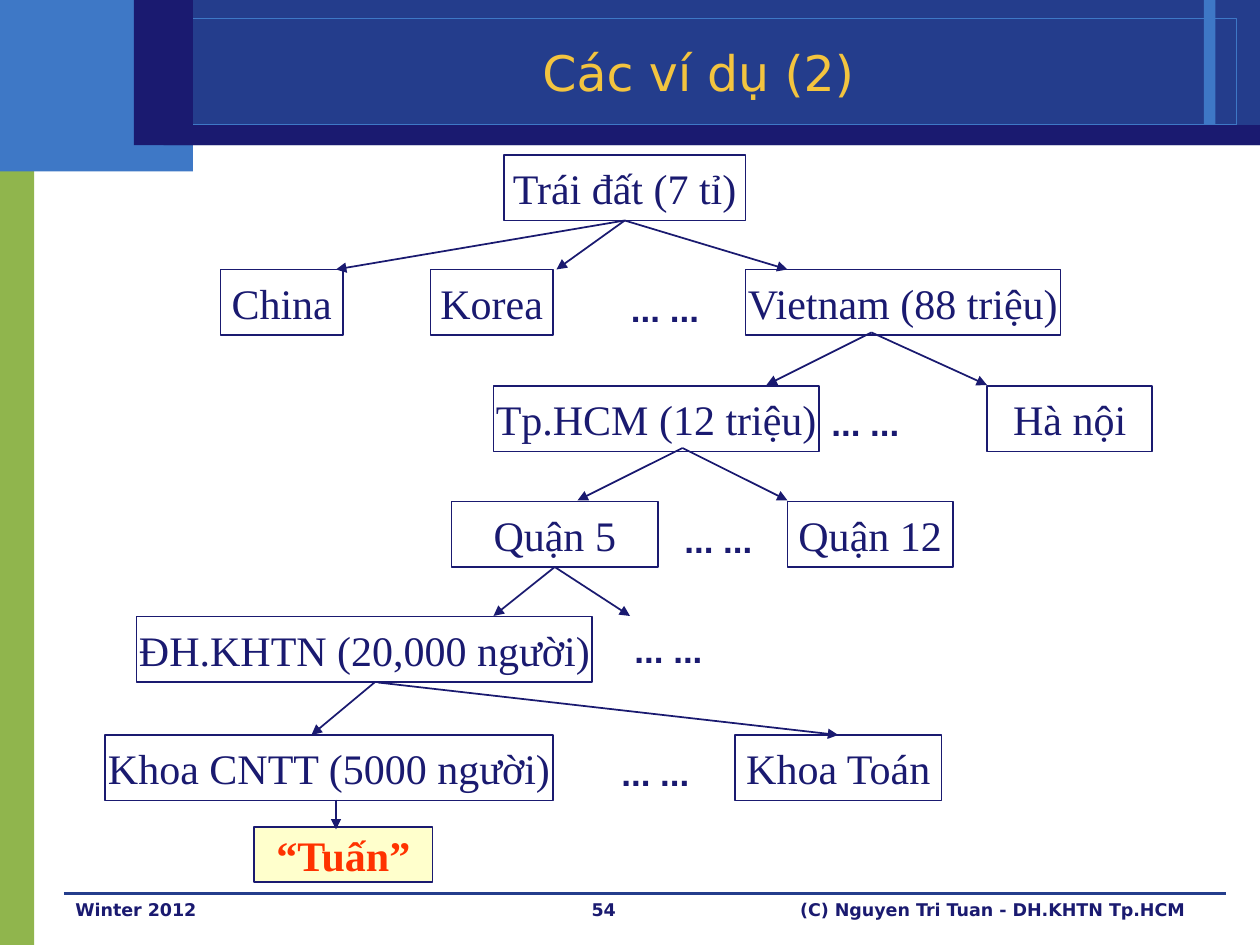
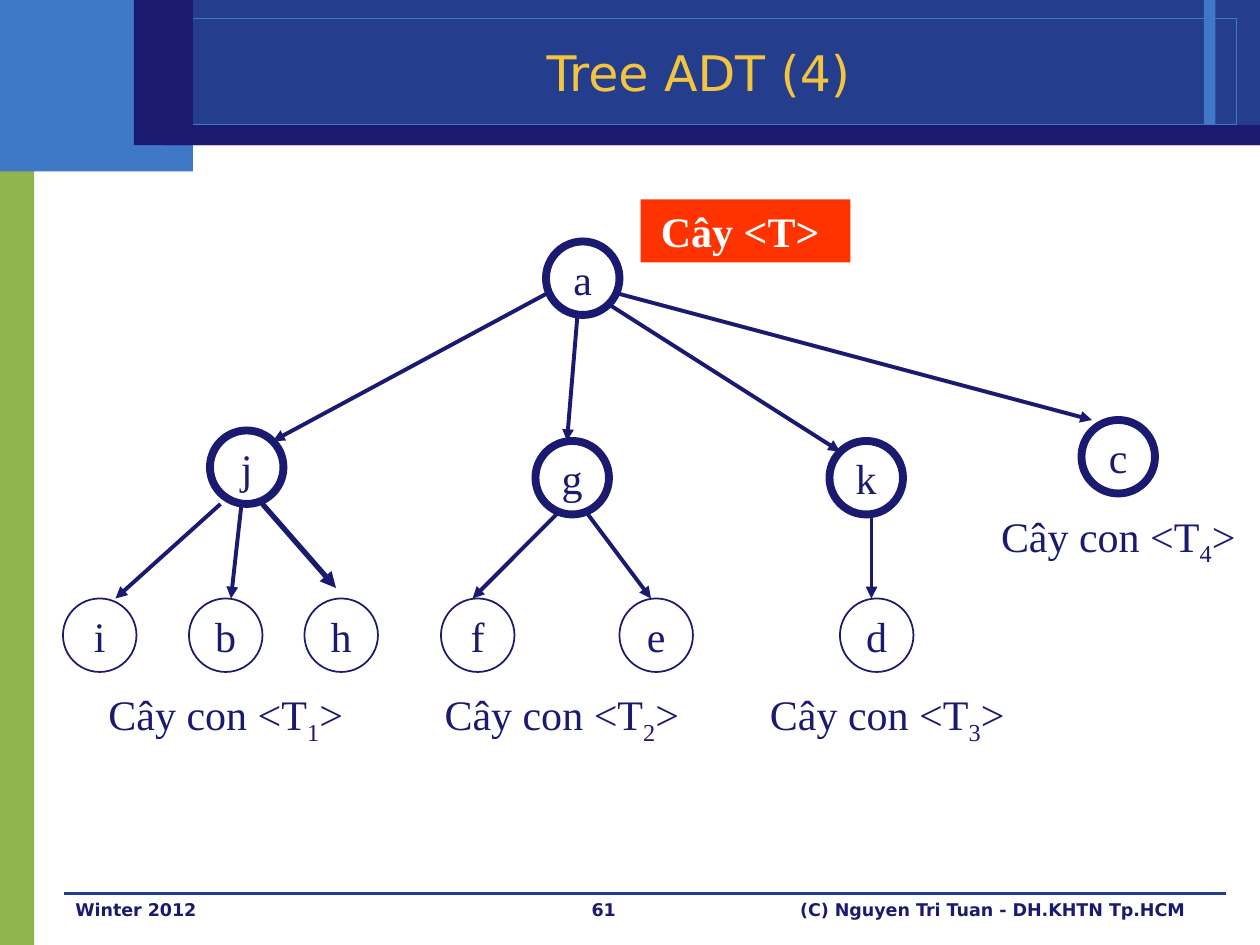
from lxml import etree
from pptx import Presentation
from pptx.dml.color import RGBColor
from pptx.enum.shapes import MSO_CONNECTOR as LINK, MSO_SHAPE as SHAPE
from pptx.enum.text import MSO_ANCHOR as ANCHOR, PP_ALIGN as ALIGN
from pptx.oxml.ns import qn
from pptx.util import Pt

COLORS = {
    "navy": "1A1A70", "royal": "243D8C", "sky": "3E78C6", "green": "90B54D",
    "gold": "F3C43F", "red": "FF3300", "cream": "FFFFCC", "white": "FFFFFF",
}
SANS, SERIF, ARIAL = "DejaVu Sans", "Times New Roman", "Arial"

BACK_BANDS = [
    ((0, 77, 19.5, 463), "green"),
    ((0, 0, 110.25, 98), "sky"),
    ((110.25, 0, 609.75, 83), "royal"),
    ((688, 0, 6.5, 72), "sky"),
]
TITLE_FRAME = (14.5, 10.5, 692, 61)
FRONT_BANDS = [
    ((93.5, 71.5, 626.5, 11.5), "navy"),
    ((76.5, 0, 33.75, 83), "navy"),
]
FOOTER_RULE = ((36.5, 510.5), (700.5, 510.5))
TITLE_AREA = (108, 18.5, 582, 45)
FOOTER_TOP, FOOTER_HEIGHT = 510, 30
TERM = "Winter 2012"
COPYRIGHT = "(C) Nguyen Tri Tuan - DH.KHTN Tp.HCM"

EXAMPLE_TITLE, EXAMPLE_NUMBER = "Các ví dụ (2)", "54"
BOX_HEIGHT = 37.5
PLACES = [
    (88.5, [("Trái đất (7 tỉ)", 288, 138)]),
    (154, [("China", 126, 70), ("Korea", 246, 70), ("Vietnam (88 triệu)", 426, 180)]),
    (220.5, [("Tp.HCM (12 triệu)", 282, 186), ("Hà nội", 564, 94.5)]),
    (286.5, [("Quận 5", 258, 118), ("Quận 12", 450, 94.5)]),
    (352.25, [("ĐH.KHTN (20,000 người)", 78, 260.5)]),
    (420, [("Khoa CNTT (5000 người)", 60, 256), ("Khoa Toán", 420, 118)]),
]
PERSON, PERSON_AREA = "“Tuấn”", (145.25, 472.5, 102, 31.5)
ELLIPSES = [(353.5, 160.5), (468, 226), (384, 292.5), (355.5, 355.5), (348, 426)]
PLACE_LINKS = [
    ("Trái đất (7 tỉ)", (192, 154)),
    ("Trái đất (7 tỉ)", (318, 154)),
    ("Trái đất (7 tỉ)", (450, 154)),
    ((498, 190), (438, 220)),
    ((498, 190), (564, 220)),
    ((390, 256), (330, 286)),
    ((390, 256), (450, 286)),
    ("Quận 5", (282, 352)),
    ("Quận 5", (360, 352)),
    ((214, 390), (178, 420)),
    ((216, 390), "Khoa Toán"),
    ((192, 457), (192, 474)),
]

TREE_TITLE, TREE_NUMBER = "Tree ADT (4)", "61"
NODE_SIZE, LEAF_TOP = 42, 342
INNER_NODES = {"a": (312, 138), "c": (618, 240), "k": (474, 252),
               "j": (120, 246), "g": (306, 252)}
LEAVES = {"i": 36, "b": 108, "h": 174, "f": 252, "e": 354, "d": 480}
BRANCHES = [
    ((312, 168), (156, 252), 2.25),
    ((330, 180), (324, 252), 2.25),
    ((348, 174), (480, 258), 2.25),
    ((354, 168), (624, 240), 2.25),
    ((126, 288), (66, 342), 2.25),
    ((138, 288), (132, 342), 2.25),
    ((150, 288), (192, 336), 3),
    ((318, 294), (270, 342), 2.25),
    ((336, 294), (372, 342), 2.25),
    ((498, 294), (498, 342), 2.25),
]
SUBTREES = [
    ("1", (30, 390, 204, 48)),
    ("2", (222, 390, 204, 48)),
    ("3", (408, 390, 204, 48)),
    ("4", (564, 288, 156, 48)),
]
TREE_LABEL, TREE_LABEL_AREA = "Cây <T> ", (366, 114, 120, 36)


def color(name):
    return RGBColor.from_string(COLORS[name])


def pts(values):
    return [Pt(value) for value in values]


def add_box(slide, area, fill=None, line=None, width=1, kind=SHAPE.RECTANGLE):
    box = slide.shapes.add_shape(kind, *pts(area))
    box.shadow.inherit = False
    if fill:
        box.fill.solid()
        box.fill.fore_color.rgb = color(fill)
    else:
        box.fill.background()
    if line:
        box.line.color.rgb = color(line)
        box.line.width = Pt(width)
    else:
        box.line.fill.background()
    return box


def write(holder, parts, size=24, font=SERIF, ink="navy", bold=False,
          align=ALIGN.CENTER, anchor=ANCHOR.MIDDLE, wrap=False):
    frame = holder.text_frame
    frame.word_wrap = wrap
    frame.vertical_anchor = anchor
    paragraph = frame.paragraphs[0]
    paragraph.alignment = align
    for text, baseline in parts:
        run = paragraph.add_run()
        run.text = text
        run.font.size = Pt(size)
        run.font.name = font
        run.font.bold = bold
        run.font.color.rgb = color(ink)
        if baseline:
            run.font._element.set("baseline", str(baseline * 1000))


def add_text(slide, area, parts, **style):
    style = {"anchor": ANCHOR.TOP, "wrap": True, **style}
    write(slide.shapes.add_textbox(*pts(area)), parts, **style)


def add_line(slide, start, end, ink="navy", width=1, arrow=True):
    line = slide.shapes.add_connector(LINK.STRAIGHT, *pts(start + end))
    line.line.color.rgb = color(ink)
    line.line.width = Pt(width)
    if arrow:
        etree.SubElement(line.line._get_or_add_ln(), qn("a:tailEnd"), type="triangle")
    etree.SubElement(line._element.spPr, qn("a:effectLst"))
    return line


def add_slide(deck, title, number):
    slide = deck.slides.add_slide(deck.slide_layouts[6])
    for area, fill in BACK_BANDS:
        add_box(slide, area, fill)
    add_box(slide, TITLE_FRAME, line="sky", width=0)
    add_line(slide, *FOOTER_RULE, ink="royal", width=0, arrow=False)
    for area, fill in FRONT_BANDS:
        add_box(slide, area, fill)
    footers = [(number, 288, 114, ALIGN.CENTER), (TERM, 36, 168, ALIGN.LEFT),
               (COPYRIGHT, 426, 258, ALIGN.RIGHT)]
    for text, left, width, align in footers:
        add_text(slide, (left, FOOTER_TOP, width, FOOTER_HEIGHT), [(text, 0)],
                 size=10, font=SANS, bold=True, align=align)
    add_text(slide, TITLE_AREA, [(title, 0)], size=28, font=SANS, ink="gold",
             anchor=ANCHOR.MIDDLE)
    return slide


def build_example(deck):
    slide = add_slide(deck, EXAMPLE_TITLE, EXAMPLE_NUMBER)
    places = {}
    for top, row in PLACES:
        for name, left, width in row:
            places[name] = add_box(slide, (left, top, width, BOX_HEIGHT), line="navy")
            write(places[name], [(name, 0)])
    person = add_box(slide, PERSON_AREA, "cream", "navy")
    write(person, [(PERSON, 0)], ink="red", bold=True)
    for left, top in ELLIPSES:
        add_text(slide, (left, top, 72, 31), [("... ...", 0)], size=20, font=ARIAL,
                 bold=True, align=ALIGN.LEFT)
    for start, end in PLACE_LINKS:
        parent, child = places.get(start), places.get(end)
        link = add_line(slide, (0, 0) if parent else start, (0, 0) if child else end)
        if parent:
            link.begin_connect(parent, 2)
        if child:
            link.end_connect(child, 0)


def build_tree(deck):
    slide = add_slide(deck, TREE_TITLE, TREE_NUMBER)
    nodes = [(name, spot, 4.5) for name, spot in INNER_NODES.items()]
    nodes += [(name, (left, LEAF_TOP), 1) for name, left in LEAVES.items()]
    for name, spot, width in nodes:
        node = add_box(slide, spot + (NODE_SIZE, NODE_SIZE), "white", "navy", width,
                       SHAPE.OVAL)
        write(node, [(name, 0)])
    for start, end, width in BRANCHES:
        add_line(slide, start, end, width=width)
    for index, area in SUBTREES:
        add_text(slide, area, [("Cây con <T", 0), (index, -25), ("> ", 0)])
    label = add_box(slide, TREE_LABEL_AREA, "red")
    write(label, [(TREE_LABEL, 0)], ink="white", bold=True, anchor=ANCHOR.TOP, wrap=True)


def main():
    deck = Presentation()
    deck.slide_width, deck.slide_height = Pt(720), Pt(540)
    build_example(deck)
    build_tree(deck)
    deck.save("out.pptx")


if __name__ == "__main__":
    main()
